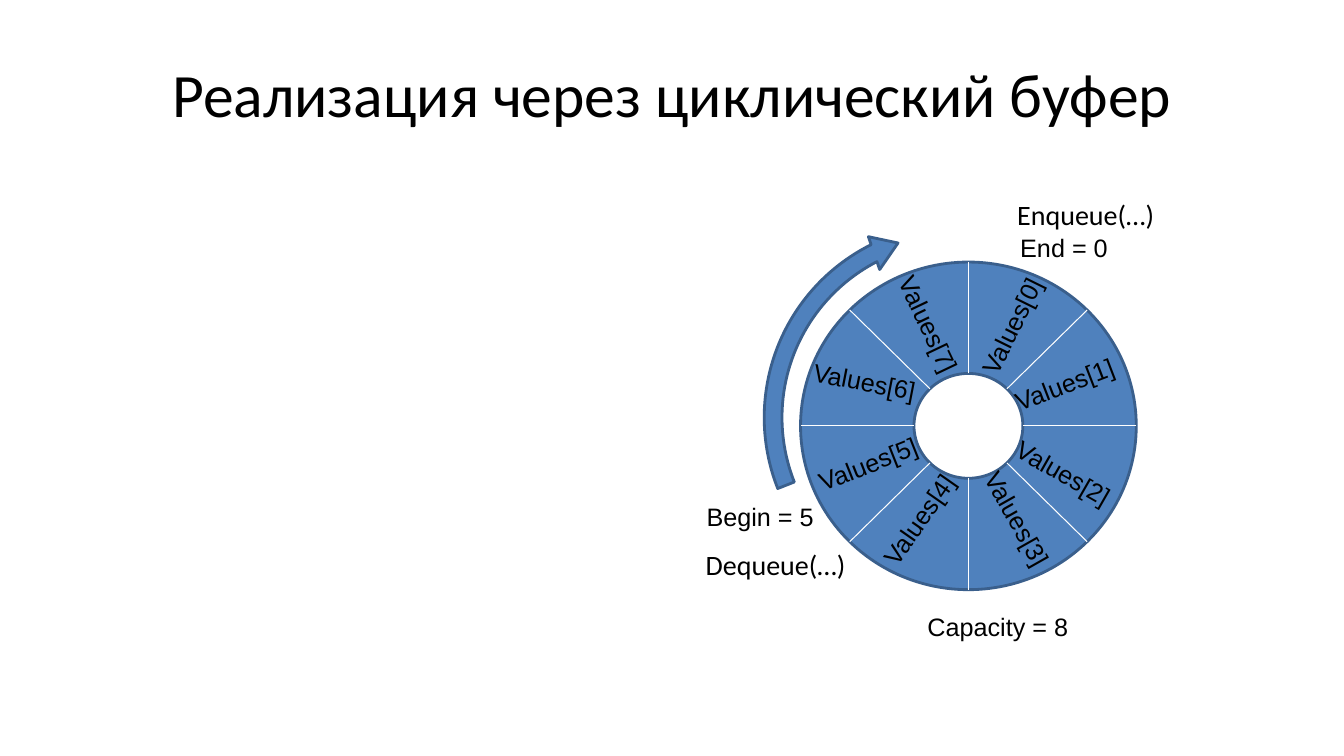
from dataclasses import dataclass
from math import cos, radians, sin

from lxml import etree
from pptx import Presentation
from pptx.dml.color import RGBColor
from pptx.enum.shapes import MSO_CONNECTOR, MSO_SHAPE
from pptx.enum.text import MSO_ANCHOR, MSO_AUTO_SIZE, PP_ALIGN
from pptx.oxml.ns import qn
from pptx.util import Pt

PX = 9144  # EMU in one px, 100 px to the inch
TITLE_ONLY = 5
STRAIGHT = MSO_CONNECTOR.STRAIGHT
ELLIPSE, CIRCULAR_ARROW = MSO_SHAPE.OVAL, MSO_SHAPE.CIRCULAR_ARROW
MIDDLE, CENTER = MSO_ANCHOR.MIDDLE, PP_ALIGN.CENTER
FIT_SHAPE, NO_FIT = MSO_AUTO_SIZE.SHAPE_TO_FIT_TEXT, MSO_AUTO_SIZE.NONE


@dataclass(frozen=True)
class Theme:
    ink: RGBColor = RGBColor(0x00, 0x00, 0x00)
    paper: RGBColor = RGBColor(0xFF, 0xFF, 0xFF)
    blue: RGBColor = RGBColor(0x4F, 0x81, 0xBD)
    outline: RGBColor = RGBColor(0x3A, 0x5F, 0x8C)
    title_font: str = "Calibri"
    label_font: str = "Arial"
    title_size: int = 44
    method_size: int = 20
    label_size: int = 18
    outline_width: float = 2
    spoke_width: float = 0.75


THEME = Theme()


@dataclass(frozen=True)
class Box:
    left: int
    top: int
    width: int
    height: int

    def emu(self):
        return [round(n * PX) for n in (self.left, self.top, self.width, self.height)]

    def center(self):
        return self.left + self.width / 2, self.top + self.height / 2

    def centered(self, dx, dy, width, height):
        """Box of the given size whose centre is offset from this one's."""
        x, y = self.center()
        return Box(x + dx - width / 2, y + dy - height / 2, width, height)

    def rim(self, angle):
        """Point on the inscribed ellipse, clockwise from the right."""
        x, y = self.center()
        return (x + self.width / 2 * cos(radians(angle)),
                y + self.height / 2 * sin(radians(angle)))


def write(frame, text, font=THEME.label_font, size=THEME.label_size, align=None):
    para = frame.paragraphs[0]
    para.alignment = align
    span = para.add_run()
    span.text = text
    span.font.name = font
    span.font.size = Pt(size)
    span.font.color.rgb = THEME.ink


def add_label(page, box, text, rotation=0, **text_format):
    label = page.shapes.add_textbox(*box.emu())
    label.rotation = rotation
    label.text_frame.word_wrap = False
    label.text_frame.auto_size = FIT_SHAPE
    write(label.text_frame, text, **text_format)


def add_outlined(page, kind, box, fill):
    shape = page.shapes.add_shape(kind, *box.emu())
    shape.shadow.inherit = False
    shape.fill.solid()
    shape.fill.fore_color.rgb = fill
    shape.line.color.rgb = THEME.outline
    shape.line.width = Pt(THEME.outline_width)
    return shape


def add_spoke(page, start, end):
    ends = [round(n * PX) for n in (*start, *end)]
    spoke = page.shapes.add_connector(STRAIGHT, *ends)
    spoke.line.color.rgb = THEME.paper
    spoke.line.width = Pt(THEME.spoke_width)
    etree.SubElement(spoke._element.spPr, qn("a:effectLst"))


def add_title(page, box, text):
    title = page.shapes.title
    title.left, title.top, title.width, title.height = box.emu()
    frame = title.text_frame
    frame.auto_size = NO_FIT
    frame.vertical_anchor = MIDDLE
    write(frame, text, font=THEME.title_font, size=THEME.title_size, align=CENTER)


def add_ring(page, box):
    """Buffer ring: hub, spokes between the cells, and one label in each cell."""
    hub = box.centered(0, 0, 108, 104)
    add_outlined(page, ELLIPSE, box, THEME.blue)
    add_outlined(page, ELLIPSE, hub, THEME.paper)
    cells = [  # label centre from the ring's centre, rotation
        (43, -100, 296.3), (96, -42, 338.9), (95, 47, 29.8), (49, 93, 60.5),
        (-49, 92, 305), (-99, 37, 338.3), (-102, -44, 11), (-39, -100, 64.5),
    ]
    for index in range(len(cells)):
        angle = index * 360 / len(cells)
        add_spoke(page, hub.rim(angle), box.rim(angle))
    for index, (dx, dy, rotation) in enumerate(cells):
        add_label(page, box.centered(dx, dy, 124, 40), f"Values[{index}]", rotation)


def add_direction_arrow(page, ring):
    arrow = add_outlined(page, CIRCULAR_ARROW, ring.centered(-10, -8, 401, 402), THEME.blue)
    arrow.rotation = 289.6
    for index, value in enumerate((0.044, 4.845, 187.981, 137.408, 0.043)):
        arrow.adjustments[index] = value


def add_captions(page, ring):
    method = {"font": THEME.title_font, "size": THEME.method_size}
    captions = [  # offset from the ring's corner, size, text, format
        (-103, 232, 127, 40, "Begin = 5", {}),
        (208, -34, 108, 40, "End = 0", {}),
        (116, 342, 161, 40, "Capacity = 8", {}),
        (-104, 278, 159, 44, "Dequeue(…)", method),
        (205, -69, 159, 44, "Enqueue(…)", method),
    ]
    for dx, dy, width, height, text, text_format in captions:
        box = Box(ring.left + dx, ring.top + dy, width, height)
        add_label(page, box, text, **text_format)


def main():
    deck = Presentation()
    deck.slide_width, deck.slide_height = 1333 * PX, 750 * PX
    page = deck.slides.add_slide(deck.slide_layouts[TITLE_ONLY])
    ring = Box(794, 260, 333, 325)
    add_title(page, Box(67, 30, 1200, 125), "Реализация через циклический буфер")
    add_ring(page, ring)
    add_direction_arrow(page, ring)
    add_captions(page, ring)
    deck.save("out.pptx")


if __name__ == "__main__":
    main()
